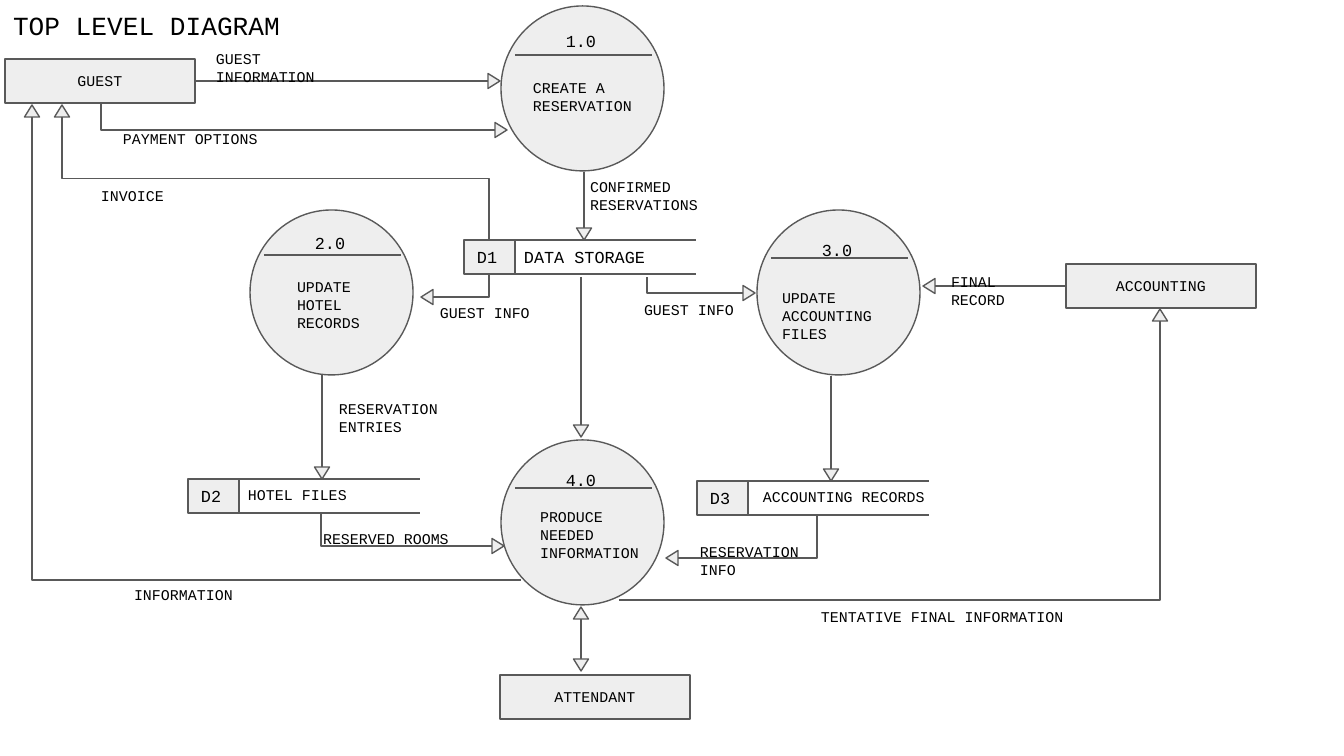
from lxml.etree import SubElement
from pptx import Presentation
from pptx.dml.color import RGBColor
from pptx.enum.shapes import MSO_CONNECTOR as Link, MSO_SHAPE as Shape
from pptx.enum.text import MSO_ANCHOR as Anchor, MSO_AUTO_SIZE as Fit, PP_ALIGN as Align
from pptx.oxml.ns import qn
from pptx.util import Emu, Pt

BLACK = RGBColor(0x00, 0x00, 0x00)
PALE = RGBColor(0xEE, 0xEE, 0xEE)
GRAY = RGBColor(0x59, 0x59, 0x59)
FONT = "Courier New"
INSET = 13
HEAD_WIDTH, HEAD_LENGTH = 15, 12
# Pointing direction: x step, y step, rotation
DIRECTIONS = {"up": (0, -1, 0), "right": (1, 0, 90), "down": (0, 1, 180), "left": (-1, 0, 270)}


def px(*lengths):
    return [Emu(round(length * 914400 / 134.4)) for length in lengths]


def write(box, text, size=8, align=Align.LEFT, anchor=Anchor.TOP):
    frame = box.text_frame
    inset = px(INSET)[0]
    layout = {"word_wrap": True, "auto_size": Fit.NONE, "vertical_anchor": anchor,
              "margin_left": inset, "margin_right": inset,
              "margin_top": inset, "margin_bottom": inset}
    for name, value in layout.items():
        setattr(frame, name, value)
    frame.text = text
    for para in frame.paragraphs:
        para.alignment = align
        for name, value in {"name": FONT, "size": Pt(size)}.items():
            setattr(para.font, name, value)
        for span in para.runs:
            span.font.name, span.font.size = FONT, Pt(size)
            span.font.color.rgb = BLACK


def add_label(page, text, left, top, width, height, **style):
    box = page.shapes.add_textbox(*px(left, top, width, height))
    write(box, text, **style)


def add_block(page, kind, left, top, width, height):
    block = page.shapes.add_shape(kind, *px(left, top, width, height))
    block.shadow.inherit = False
    block.fill.solid()
    block.fill.fore_color.rgb = PALE
    block.line.color.rgb = GRAY
    block.line.width = Pt(0.75)
    return block


def add_line(page, start, end, kind=Link.STRAIGHT):
    line = page.shapes.add_connector(kind, *px(*start, *end))
    line.line.color.rgb = GRAY
    line.line.width = Pt(0.75)
    SubElement(line._element.spPr, qn("a:effectLst"))
    return line


def add_corner(page, start, end):
    """One bend: horizontal from start, then vertical to end."""
    line = add_line(page, start, end, Link.ELBOW)
    line._element.spPr.find(qn("a:prstGeom")).set("prst", "bentConnector2")


def add_step(page, upper, lower):
    """Two bends: vertical, horizontal at half height, vertical."""
    mid_x, mid_y = (upper[0] + lower[0]) / 2, (upper[1] + lower[1]) / 2
    half_x, half_y = (lower[0] - upper[0]) / 2, (lower[1] - upper[1]) / 2
    line = add_line(page, (mid_x + half_y, mid_y - half_x),
                    (mid_x - half_y, mid_y + half_x), Link.ELBOW)
    line._element.spPr.find(qn("a:xfrm")).set("rot", str(270 * 60000))


def add_head(page, tip, direction):
    """Places an arrowhead by its tip and returns the middle of its base."""
    step_x, step_y, turn = DIRECTIONS[direction]
    x, y = tip[0] - step_x * HEAD_LENGTH / 2, tip[1] - step_y * HEAD_LENGTH / 2
    head = add_block(page, Shape.ISOSCELES_TRIANGLE, x - HEAD_WIDTH / 2,
                     y - HEAD_LENGTH / 2, HEAD_WIDTH, HEAD_LENGTH)
    head.rotation = turn
    return tip[0] - step_x * HEAD_LENGTH, tip[1] - step_y * HEAD_LENGTH


def add_flow(page, start, tip, direction):
    base = add_head(page, tip, direction)
    if start[0] == base[0] or start[1] == base[1]:
        add_line(page, start, base)
    elif direction in ("left", "right"):
        add_corner(page, base, start)
    else:
        add_corner(page, start, base)


def add_entity(page, left, top, name):
    block = add_block(page, Shape.RECTANGLE, left, top, 190, 44)
    write(block, name, align=Align.CENTER, anchor=Anchor.MIDDLE)


def add_process(page, left, top, number, number_y, rule_y, task, task_x, task_y):
    add_block(page, Shape.OVAL, left, top, 163, 165)
    add_line(page, (left + 14, top + rule_y), (left + 151, top + rule_y))
    add_label(page, number, left + 48, top + number_y, 64, 28, size=9, align=Align.CENTER)
    add_label(page, task, left + task_x, top + task_y, 137, 58)


def add_store(page, left, top, code, name, name_x, size):
    block = add_block(page, Shape.RECTANGLE, left, top, 51, 34)
    write(block, code, size=9, anchor=Anchor.MIDDLE)
    for y in (top, top + 34):
        add_line(page, (left + 51, y), (left + 232, y))
    add_label(page, name, left + name_x, top - 6, 200, 42, size=size)


def add_title(page, text, left, top, width, height):
    title = page.shapes.title
    title.left, title.top, title.width, title.height = px(left, top, width, height)
    write(title, text, size=14)


ENTITIES = [(5, 59, "GUEST"), (500, 675, "ATTENDANT"), (1066, 264, "ACCOUNTING")]
PROCESSES = [
    (501, 6, "1.0", 12, 49, "CREATE A RESERVATION", 19, 60),
    (250, 210, "2.0", 10, 45, "UPDATE\nHOTEL RECORDS", 34, 55),
    (757, 210, "3.0", 17, 48, "UPDATE ACCOUNTING\nFILES", 12, 66),
    (501, 440, "4.0", 17, 48, "PRODUCE\nNEEDED INFORMATION", 26, 55),
]
STORES = [
    (464, 240, "D1", "DATA STORAGE", 47, 9),
    (188, 479, "D2", "HOTEL FILES", 47, 8),
    (697, 481, "D3", "ACCOUNTING RECORDS", 53, 8),
]
# Start, tip, direction
FLOWS = [
    ((195, 81), (500, 81), "right"),
    ((101, 103), (507, 130), "right"),
    ((584, 172), (584, 240), "down"),
    ((489, 274), (421, 297), "left"),
    ((647, 277), (755, 293), "right"),
    ((581, 277), (581, 437), "down"),
    ((322, 375), (322, 479), "down"),
    ((831, 376), (831, 481), "down"),
    ((321, 513), (504, 546), "right"),
    ((817, 516), (666, 558), "left"),
    ((1066, 286), (923, 286), "left"),
    ((619, 600), (1160, 309), "up"),
    ((521, 580), (32, 105), "up"),
    ((581, 659), (581, 607), "up"),
]
LABELS = [
    ("GUEST INFORMATION", 203, 42, 134, 15),
    ("PAYMENT OPTIONS", 110, 122, 203, 15),
    ("INVOICE", 88, 179, 251, 15),
    ("CONFIRMED\nRESERVATIONS", 577, 165, 190, 28),
    ("GUEST INFO", 427, 295, 118, 17),
    ("GUEST INFO", 631, 288, 130, 34),
    ("FINAL RECORD", 938, 260, 108, 40),
    ("RESERVATION\nENTRIES", 326, 387, 145, 58),
    ("RESERVED ROOMS", 310, 517, 190, 28),
    ("RESERVATION\nINFO", 687, 530, 181, 44),
    ("INFORMATION", 121, 573, 181, 28),
    ("TENTATIVE FINAL INFORMATION", 808, 595, 296, 28),
]

deck = Presentation()
deck.slide_width, deck.slide_height = px(1344, 756)
page = deck.slides.add_slide(deck.slide_layouts[5])
add_title(page, "TOP LEVEL DIAGRAM", 0, -4, 313, 44)

# Entities, processes and stores
for entity in ENTITIES:
    add_entity(page, *entity)
for process in PROCESSES:
    add_process(page, *process)
for store in STORES:
    add_store(page, *store)

# Flows, with the invoice step and the second attendant head
for flow in FLOWS:
    add_flow(page, *flow)
add_step(page, add_head(page, (62, 105), "up"), (489, 240))
add_head(page, (581, 671), "down")

# Flow labels
for label in LABELS:
    add_label(page, *label)

deck.save("out.pptx")
